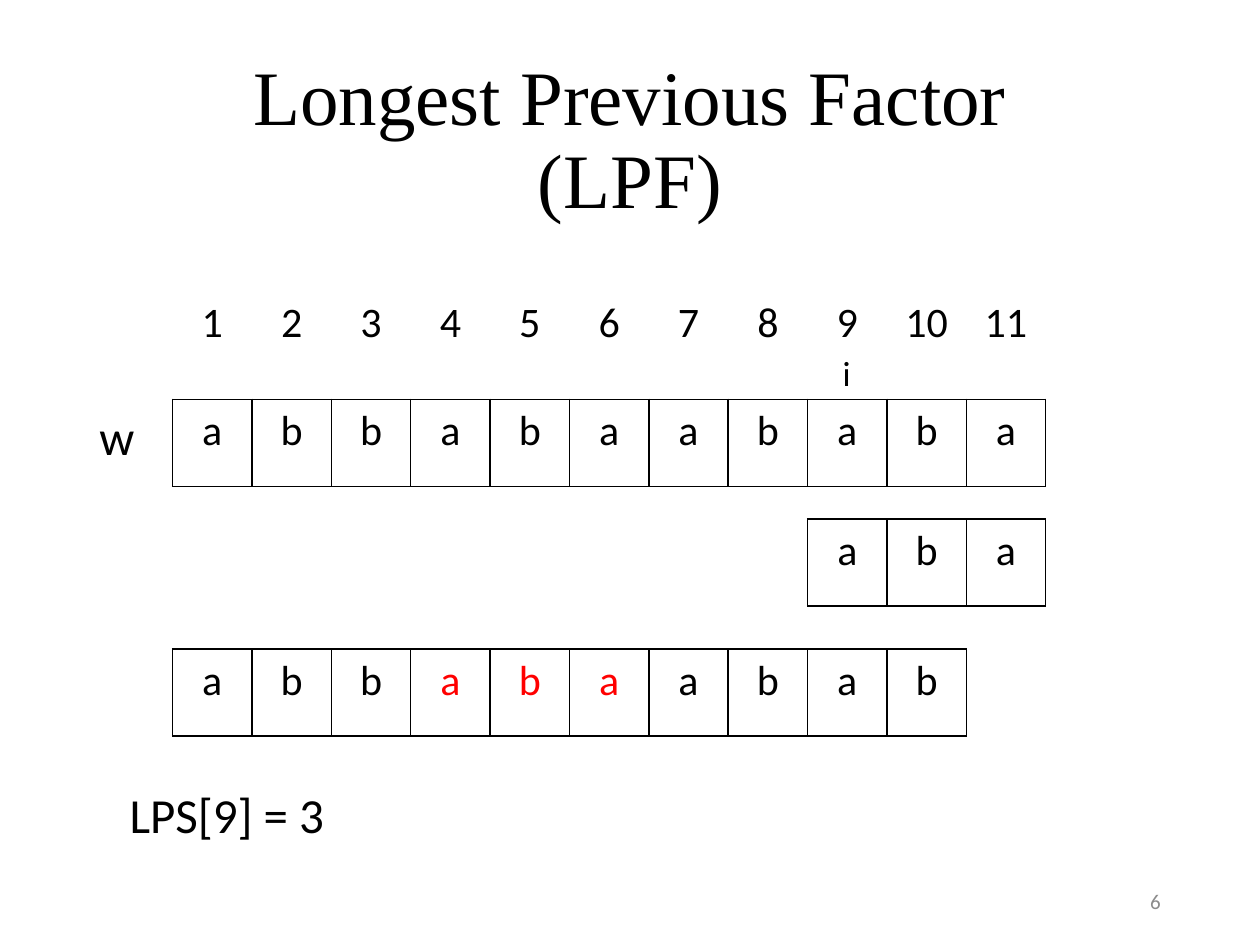
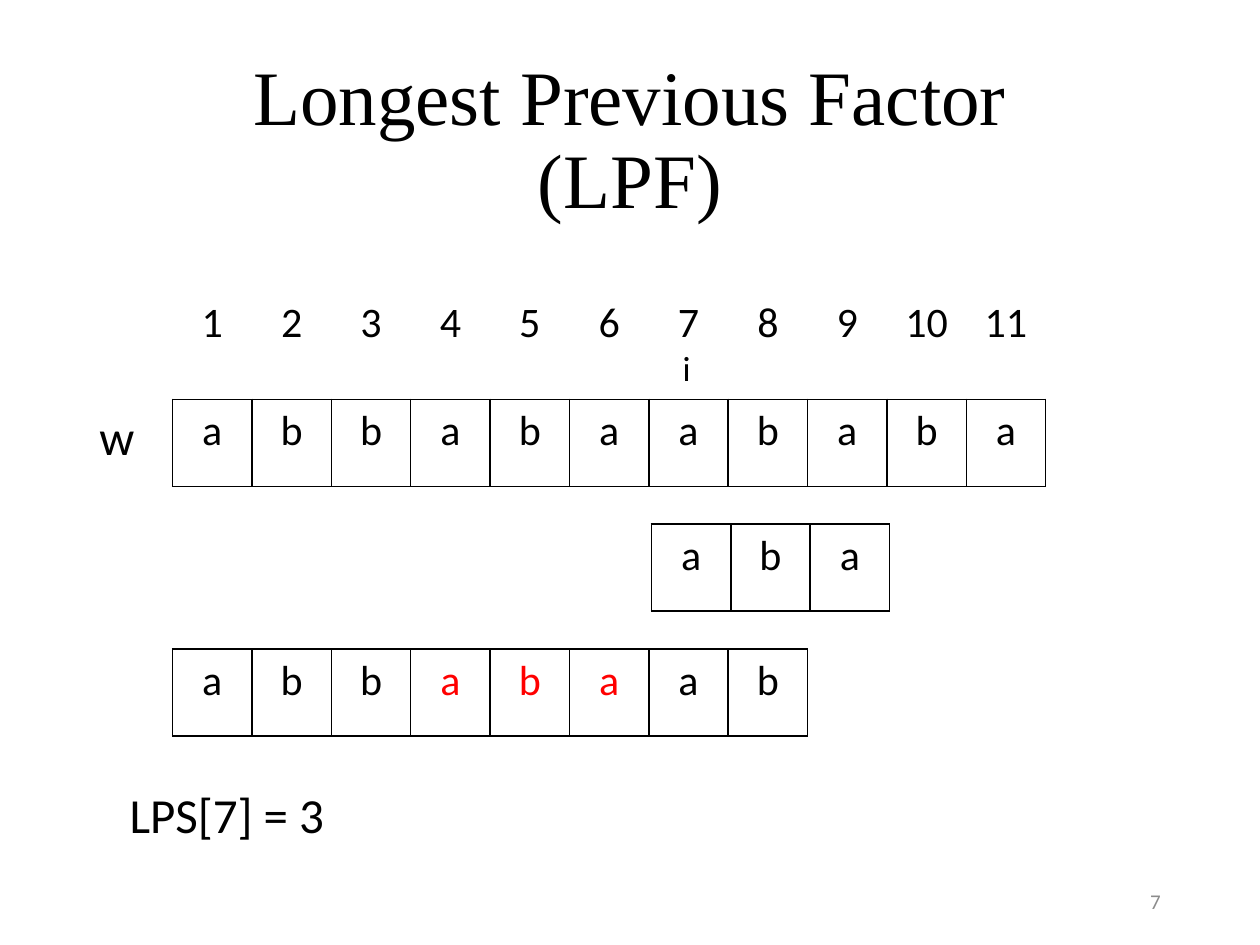
"""Build two slides that work through the Longest Previous Factor of a word."""
from dataclasses import dataclass

from lxml.etree import SubElement
from pptx import Presentation
from pptx.dml.color import RGBColor as Rgb
from pptx.enum.text import MSO_ANCHOR as Anchor, PP_ALIGN as Align
from pptx.oxml.ns import qn
from pptx.util import Pt


@dataclass(frozen=True)
class Theme:
    ink: Rgb = Rgb(0, 0, 0)
    match: Rgb = Rgb(255, 0, 0)
    muted: Rgb = Rgb(0x8C, 0x8C, 0x8C)
    title_font: str = "Times New Roman"
    body_font: str = "Calibri"
    title_size: int = 44
    label_size: int = 28
    letter_size: int = 24
    marker_size: int = 20
    number_size: int = 12


theme = Theme()
CELL_WIDTH, CELL_HEIGHT = 45.36, 49.68
WORD_LEFT = 98.64
WORD = "abbabaababa"
MATCHED = range(3, 6)


def add_label(slide, text, box, size, font=theme.body_font, color=theme.ink,
              align=Align.LEFT, anchor=Anchor.TOP, wrap=False):
    label = slide.shapes.add_textbox(*map(Pt, box))
    frame = label.text_frame
    frame.word_wrap = wrap
    frame.vertical_anchor = anchor
    line = frame.paragraphs[0]
    line.text = text
    line.alignment = align
    line.font.name, line.font.size = font, Pt(size)
    line.font.color.rgb = color
    return line


def add_row(slide, entries, left, top, bordered=True, highlighted=()):
    count = len(entries)
    row = slide.shapes.add_table(1, count, Pt(left), Pt(top),
                                 Pt(CELL_WIDTH * count), Pt(CELL_HEIGHT)).table
    row.first_row = row.horz_banding = False
    for index, entry in enumerate(entries):
        row.columns[index].width = Pt(CELL_WIDTH)
        cell = row.cell(0, index)
        letter = cell.text_frame.paragraphs[0]
        letter.text = entry
        letter.alignment = Align.CENTER
        letter.font.name, letter.font.size = theme.body_font, Pt(theme.letter_size)
        letter.font.color.rgb = theme.match if index in highlighted else theme.ink
        properties = cell._tc.get_or_add_tcPr()
        for side in ("a:lnL", "a:lnR", "a:lnT", "a:lnB"):
            border = SubElement(properties, qn(side), w=str(Pt(1)))
            if bordered:
                fill = SubElement(border, qn("a:solidFill"))
                SubElement(fill, qn("a:srgbClr"), val=str(theme.ink))
            else:
                SubElement(border, qn("a:noFill"))
        cell.fill.background()


deck = Presentation()
deck.slide_width, deck.slide_height = Pt(720), Pt(540)

examples = [
    dict(number=6, position=9, marker=(474.48, 197.28), factor=(461.52, 296.64), searched=10),
    dict(number=7, position=7, marker=(383.04, 194.4), factor=(372.24, 299.52), searched=8),
]

for example in examples:
    slide = deck.slides.add_slide(deck.slide_layouts[6])
    position = example["position"]

    title = add_label(slide, "Longest Previous Factor\v(LPF)", (49.68, 28.8, 620.64, 104.4),
                      theme.title_size, theme.title_font, align=Align.CENTER,
                      anchor=Anchor.MIDDLE, wrap=True)
    title.line_spacing = 0.9
    add_label(slide, str(example["number"]), (508.32, 500.4, 162, 28.8), theme.number_size,
              color=theme.muted, align=Align.RIGHT, anchor=Anchor.MIDDLE, wrap=True)

    indices = [str(index) for index in range(1, len(WORD) + 1)]
    add_row(slide, indices, WORD_LEFT, 166.32, bordered=False)
    add_row(slide, WORD, WORD_LEFT, 228.24)
    add_label(slide, "i", (*example["marker"], 19.44, 31.68), theme.marker_size)
    add_label(slide, "w", (49.68, 228.96, 34.56, 41.04), theme.label_size)

    add_row(slide, WORD[position - 1:position + 2], *example["factor"])
    add_label(slide, f"LPS[{position}] = 3", (66.96, 444.96, 127.44, 41.04), theme.label_size)
    add_row(slide, WORD[:example["searched"]], WORD_LEFT, 370.8, highlighted=MATCHED)

deck.save("out.pptx")
